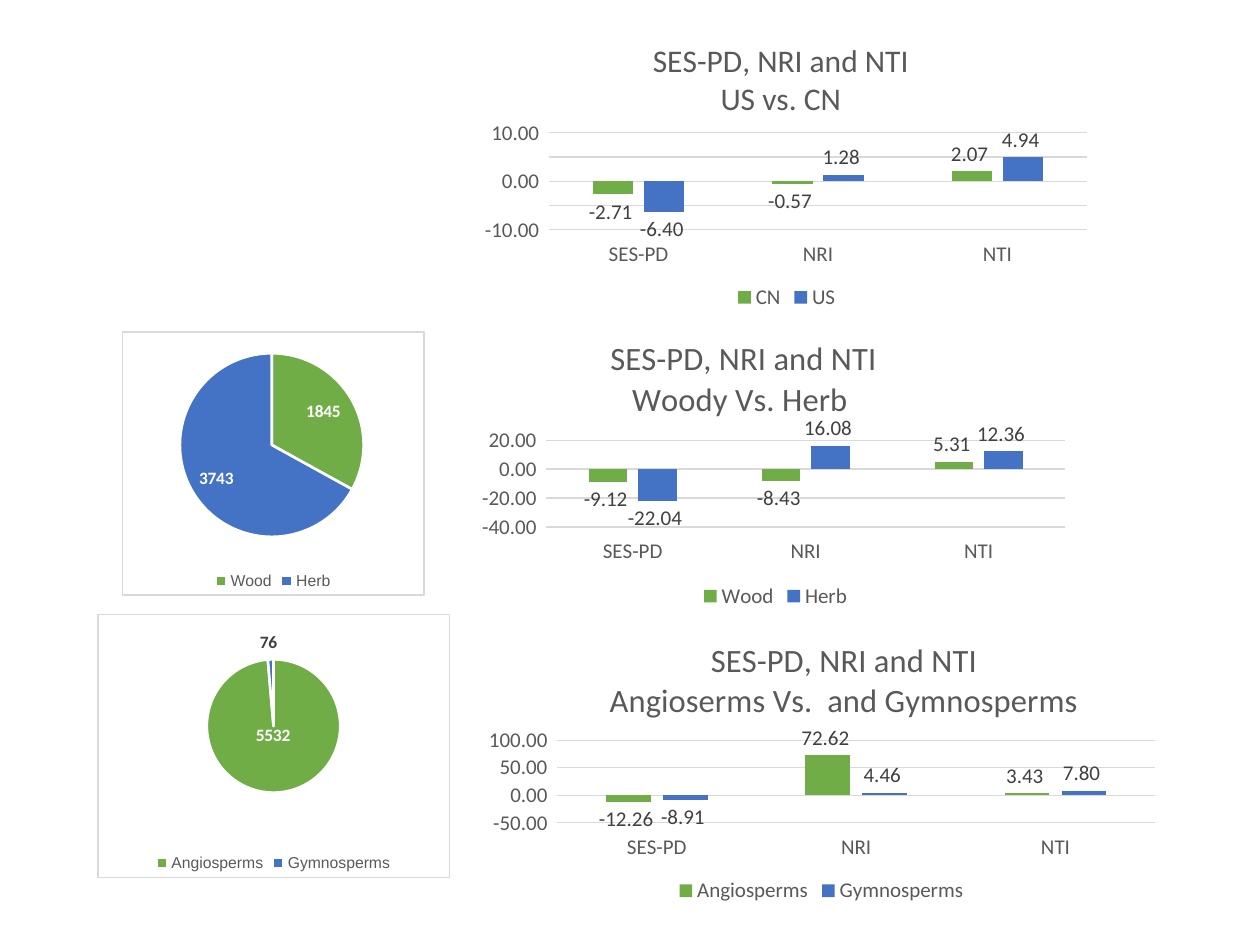
from pptx import Presentation
from pptx import util as u
from pptx.chart import data as chart_data
from pptx.dml.color import RGBColor
from pptx.enum import chart as kinds
from pptx.oxml import ns, parse_xml

GREEN = RGBColor(0x70, 0xAD, 0x47)
BLUE = RGBColor(0x44, 0x72, 0xC4)
GREY = RGBColor(0x59, 0x59, 0x59)
DARK = RGBColor(0x40, 0x40, 0x40)
PALE = RGBColor(0xD9, 0xD9, 0xD9)
WHITE = RGBColor(0xFF, 0xFF, 0xFF)
COLORS = (GREEN, BLUE)

METRICS = ("SES-PD", "NRI", "NTI")
NUMBERS = "0.00_ "
COLUMNS = [
    {"at": (9.55, 0.23, 12.62, 6.12), "plot": (0.12, 0.4, 0.86, 0.32),
     "title": ("SES-PD, NRI and NTI", "US vs. CN"), "title_at": (0.28, 0.08), "size": 18,
     "scale": (-10, 10, 5),
     "series": {"CN": (-2.71, -0.57, 2.07), "US": (-6.40, 1.28, 4.94)}},
    {"at": (9.55, 6.35, 12.17, 6.02), "plot": (0.12, 0.42, 0.86, 0.29),
     "title": ("SES-PD, NRI and NTI", "Woody Vs. Herb "), "title_at": (0.22, 0.06), "size": 18.6,
     "scale": (-40, 20, 20),
     "series": {"Wood": (-9.12, -8.43, 5.31), "Herb": (-22.04, 16.08, 12.36)}},
    {"at": (9.55, 12.37, 14.02, 5.94), "plot": (0.12, 0.43, 0.86, 0.28),
     "title": ("SES-PD, NRI and NTI", "Angioserms Vs.  and Gymnosperms"),
     "title_at": (0.19, 0.07), "size": 18.6,
     "scale": (-50, 100, 50),
     "series": {"Angiosperms": (-12.26, 72.62, 3.43), "Gymnosperms": (-8.91, 4.46, 7.80)}},
]

SPOT = kinds.XL_LABEL_POSITION
PIES = [
    {"at": (2.46, 6.68, 6.1, 5.33), "plot": (0.19, 0.08, 0.61, 0.7),
     "slices": {"Wood": 1845, "Herb": 3743},
     "labels": ((WHITE, SPOT.INSIDE_END, None), (WHITE, SPOT.INSIDE_END, None))},
    {"at": (1.96, 12.37, 7.11, 5.33), "plot": (0.31, 0.17, 0.38, 0.51),
     "slices": {"Angiosperms": 5532, "Gymnosperms": 76},
     "labels": ((WHITE, SPOT.CENTER, (0, -0.09)), (DARK, SPOT.OUTSIDE_END, None))},
]


def set_font(font, size, color, name="Calibri", bold=False):
    for key, value in {"size": u.Pt(size), "name": name, "bold": bold}.items():
        setattr(font, key, value)
    font.color.rgb = color


def set_line(line, color, width=0.75):
    line.color.rgb = color
    line.width = u.Pt(width)


def set_layout(holder, index, fractions, edge=True, inner=False):
    old = holder.find(ns.qn("c:layout"))
    if old is not None:
        holder.remove(old)
    parts = '<c:layoutTarget val="inner"/>' if inner else ""
    if edge:
        parts += '<c:xMode val="edge"/><c:yMode val="edge"/>'
    parts += "".join(f'<c:{key} val="{value}"/>' for key, value in zip("xywh", fractions))
    holder.insert(index, parse_xml(
        f'<c:layout {ns.nsdecls("c")}><c:manualLayout>{parts}</c:manualLayout></c:layout>'))


def set_area(chart, inside):
    chart.font._element.find(ns.qn("c:txPr")).addprevious(
        parse_xml(f'<c:spPr {ns.nsdecls("c", "a")}>{inside}</c:spPr>'))


def add_chart(page, kind, item, data, font_name, legend_size, area):
    place = [u.Cm(value) for value in item["at"]]
    chart = page.shapes.add_chart(kind, *place, data).chart
    set_font(chart.font, 10, RGBColor(0, 0, 0), font_name)
    txt = chart._chartSpace.find(ns.qn("c:txPr"))
    txt.addprevious(parse_xml(f'<c:spPr {ns.nsdecls("c", "a")}>{area}</c:spPr>'))
    chart.has_title = False
    chart.has_legend = True
    chart.legend.position = kinds.XL_LEGEND_POSITION.BOTTOM
    chart.legend.include_in_layout = False
    set_font(chart.legend.font, legend_size, GREY, font_name)
    plot_area = chart._chartSpace.chart.plotArea
    set_layout(plot_area, 0, item["plot"], inner=True)
    return chart


def add_title(chart, item):
    chart.has_title = True
    title = chart.chart_title
    frame = title.text_frame
    for number, line in enumerate(item["title"]):
        para = frame.add_paragraph() if number else frame.paragraphs[0]
        span = para.add_run()
        span.text = line
        set_font(span.font, item["size"], GREY)
    title.include_in_layout = False
    set_layout(title._element, 1, item["title_at"])


def add_columns(page, item):
    data = chart_data.CategoryChartData(number_format=NUMBERS)
    data.categories = METRICS
    for name, values in item["series"].items():
        data.add_series(name, values)
    chart = add_chart(page, kinds.XL_CHART_TYPE.COLUMN_CLUSTERED, item, data, "Calibri", 12,
                      "<a:noFill/><a:ln><a:noFill/></a:ln>")
    add_title(chart, item)
    for axis in (chart.category_axis, chart.value_axis):
        axis.major_tick_mark = axis.minor_tick_mark = kinds.XL_TICK_MARK.NONE
        set_font(axis.tick_labels.font, 12, GREY)
    chart.category_axis.tick_label_position = kinds.XL_TICK_LABEL_POSITION.LOW
    set_line(chart.category_axis.format.line, PALE)
    values = chart.value_axis
    values.minimum_scale, values.maximum_scale, values.major_unit = item["scale"]
    values.format.line.fill.background()
    set_line(values.major_gridlines.format.line, PALE)
    values.tick_labels.number_format = NUMBERS
    values.tick_labels.number_format_is_linked = False
    plot = chart.plots[0]
    plot.gap_width, plot.overlap, plot.vary_by_categories = 219, -27, False
    for series, color in zip(plot.series, COLORS):
        series.invert_if_negative = False
        series.format.fill.solid()
        series.format.fill.fore_color.rgb = color
        labels = series.data_labels
        for key, value in {"show_value": True, "position": SPOT.OUTSIDE_END,
                           "number_format": NUMBERS, "number_format_is_linked": False}.items():
            setattr(labels, key, value)
        set_font(labels.font, 12, DARK)


def add_pie(page, item):
    data = chart_data.CategoryChartData(number_format="0_ ")
    data.categories = list(item["slices"])
    data.add_series("Series 1", list(item["slices"].values()))
    chart = add_chart(page, kinds.XL_CHART_TYPE.PIE, item, data, "Arial", 9,
                      f'<a:solidFill><a:srgbClr val="{WHITE}"/></a:solidFill><a:ln w="9525">'
                      f'<a:solidFill><a:srgbClr val="{PALE}"/></a:solidFill></a:ln>')
    series = chart.plots[0].series[0]
    series.data_labels.show_value = True
    set_font(series.data_labels.font, 10, item["labels"][1][0], bold=True)
    for number, (color, (ink, spot, shift)) in enumerate(zip(COLORS, item["labels"])):
        point = series.points[number]
        point.format.fill.solid()
        point.format.fill.fore_color.rgb = color
        set_line(point.format.line, WHITE, 1.5)
        label = point.data_label
        set_font(label.font, 10, ink, bold=True)
        label.position = spot
        if shift:
            set_layout(label._dLbl, 1, shift, edge=False)


def main():
    deck = Presentation()
    deck.slide_width, deck.slide_height = u.Cm(25.4), u.Cm(19.05)
    page = deck.slides.add_slide(deck.slide_layouts[6])
    for item in COLUMNS:
        add_columns(page, item)
    for item in PIES:
        add_pie(page, item)
    deck.save("out.pptx")


if __name__ == "__main__":
    main()
